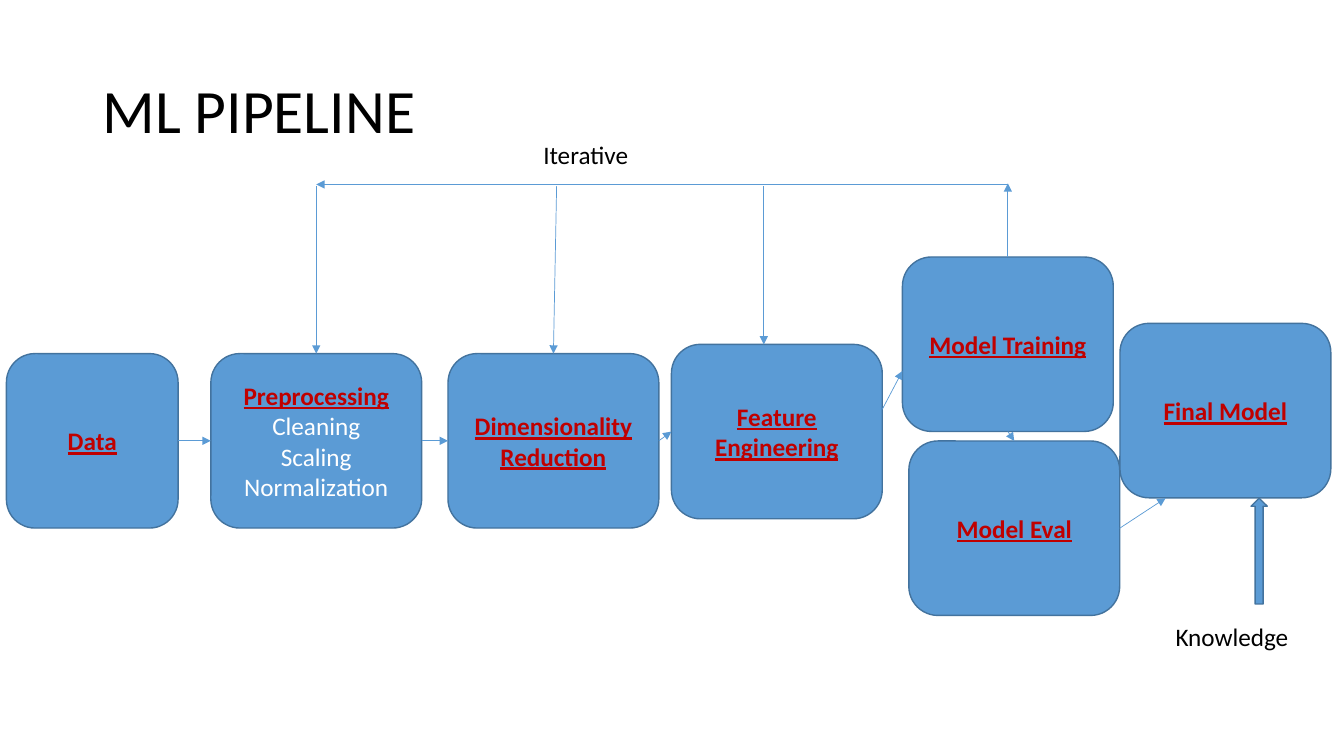
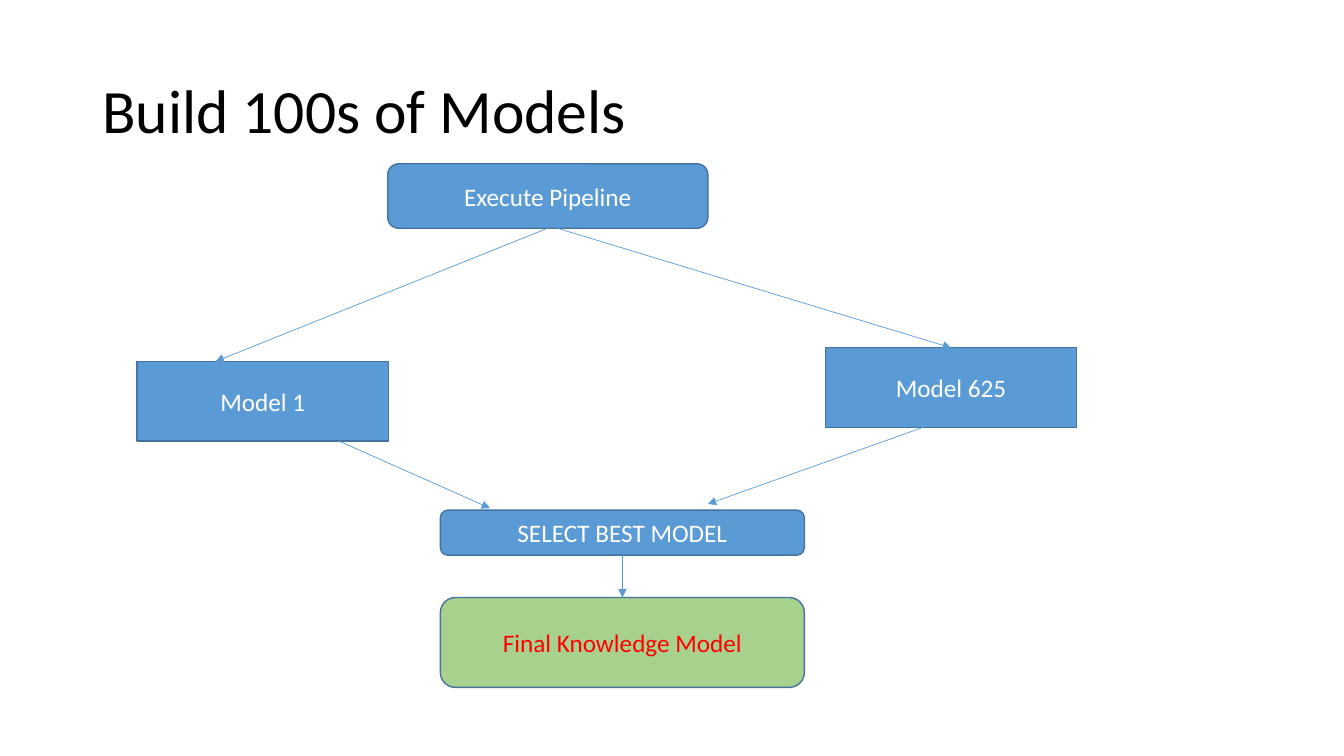
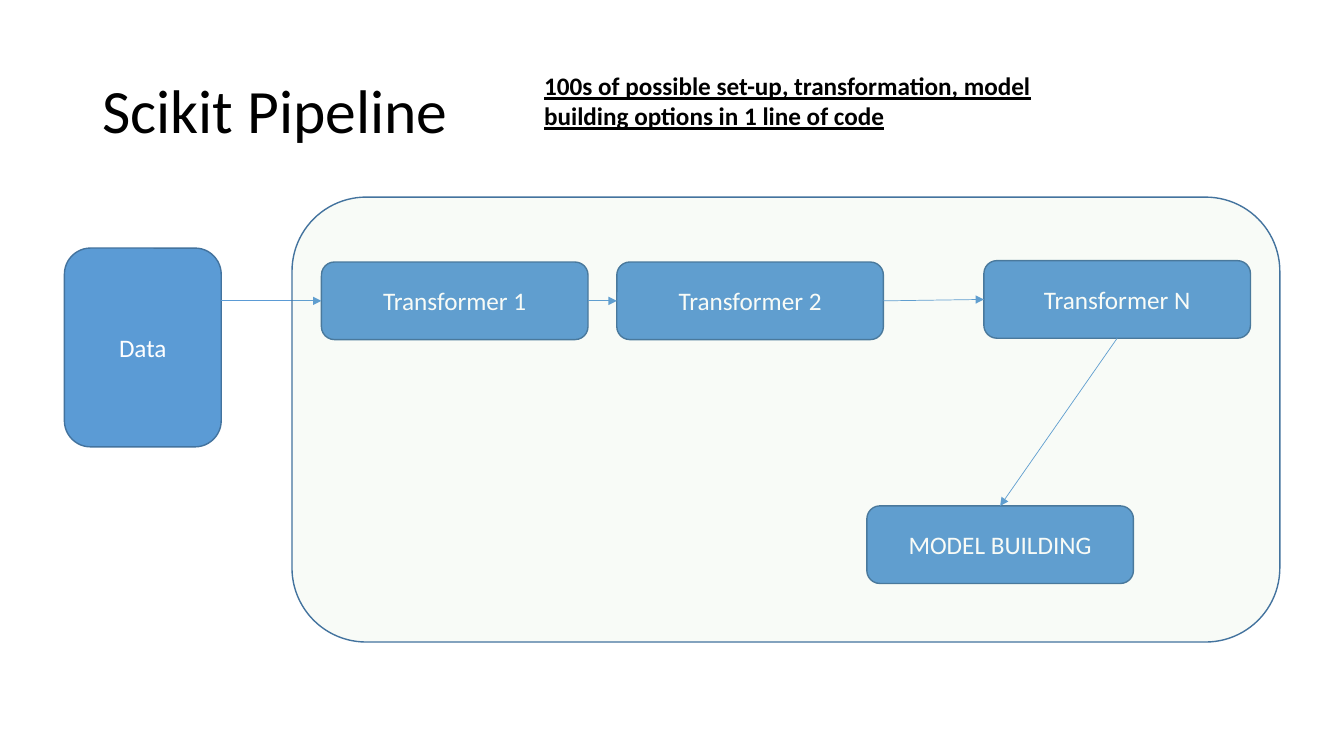
from typing import NamedTuple

from lxml import etree
from pptx import Presentation
from pptx.dml.color import RGBColor
from pptx.enum.shapes import MSO_CONNECTOR as Connector, MSO_SHAPE as Preset
from pptx.enum.text import MSO_ANCHOR as Anchor, PP_ALIGN as Align
from pptx.oxml.ns import qn
from pptx.util import Pt

# Shared style
FONT = "Calibri"
BLUE, OUTLINE, GREEN = "5B9BD5", "43739E", "A9D18E"
WHITE, BLACK, DARK_RED, RED = "FFFFFF", "000000", "C00000", "FF0000"
TITLE_SIZE, TEXT_SIZE = 44, 18
TOP, LEFT, BOTTOM, RIGHT = range(4)


class Box(NamedTuple):
    left: float
    top: float
    width: float
    height: float

    def inner(self, x, y, width, height):
        return Box(self.left + x, self.top + y, width, height)

    def point(self, x, y):
        return Point(self.left + x, self.top + y)

    def lengths(self):
        return [Pt(value) for value in self]


class Point(NamedTuple):
    x: float
    y: float


class Joint(NamedTuple):
    shape: object
    side: int


TITLE_BOX = Box(66, 28.8, 828, 104.4)


def color(hex_string):
    return RGBColor.from_string(hex_string)


def style(paragraph, size=TEXT_SIZE, ink=BLACK, emphasis=False):
    font = paragraph.font
    font.name, font.size = FONT, Pt(size)
    font.color.rgb = color(ink)
    font.bold = font.underline = emphasis


def titled_slide(presentation, text):
    slide = presentation.slides.add_slide(presentation.slide_layouts[5])
    title = slide.shapes.title
    title.left, title.top, title.width, title.height = TITLE_BOX.lengths()
    title.text_frame.text = text
    title.text_frame.vertical_anchor = Anchor.MIDDLE
    paragraph = title.text_frame.paragraphs[0]
    paragraph.alignment, paragraph.line_spacing = Align.LEFT, 0.9
    style(paragraph, TITLE_SIZE)
    return slide


def node(slide, box, lines=(), preset=Preset.ROUNDED_RECTANGLE, fill=BLUE,
         ink=WHITE, heading=False):
    """Outlined shape; its first line may be an emphasised heading."""
    shape = slide.shapes.add_shape(preset, *box.lengths())
    shape.shadow.inherit = False
    shape.fill.solid()
    shape.fill.fore_color.rgb = color(fill)
    shape.line.color.rgb = color(OUTLINE)
    shape.line.width = Pt(1)
    frame = shape.text_frame
    frame.word_wrap = True
    frame.vertical_anchor = Anchor.MIDDLE
    frame.text = "\n".join(lines)
    for index, paragraph in enumerate(frame.paragraphs):
        paragraph.alignment = Align.CENTER
        is_heading = heading and index == 0
        style(paragraph, ink=DARK_RED if is_heading else ink, emphasis=is_heading)
    return shape


def label(slide, box, text, emphasis=False):
    frame = slide.shapes.add_textbox(*box.lengths()).text_frame
    frame.word_wrap = True
    frame.text = text
    style(frame.paragraphs[0], emphasis=emphasis)


def arrow(slide, start, end):
    """Thin arrow between two ends, each a Point or a Joint."""
    connector = slide.shapes.add_connector(Connector.STRAIGHT, 0, 0, 0, 0)
    if isinstance(start, Joint):
        connector.begin_connect(*start)
    else:
        connector.begin_x, connector.begin_y = Pt(start.x), Pt(start.y)
    if isinstance(end, Joint):
        connector.end_connect(*end)
    else:
        connector.end_x, connector.end_y = Pt(end.x), Pt(end.y)
    connector.line.color.rgb = color(BLUE)
    connector.line.width = Pt(0.5)
    properties = connector._element.spPr
    etree.SubElement(properties.find(qn("a:ln")), qn("a:tailEnd"), type="triangle")
    etree.SubElement(properties, qn("a:effectLst"))


def ml_pipeline(slide, area):
    # Stages
    width, height = 150.6, 124.6

    def stage(x, y, *lines, stage_width=width):
        return node(slide, area.inner(x, y, stage_width, height), lines, heading=True)

    data = stage(0, 157.6, "Data", stage_width=122.6)
    preprocessing = stage(146, 157.6, "Preprocessing", "Cleaning", "Scaling",
                          "Normalization")
    reduction = stage(315.4, 157.6, "Dimensionality Reduction")
    engineering = stage(475, 151, "Feature Engineering")
    training = stage(640, 88.6, "Model Training")
    evaluation = stage(644.6, 220, "Model Eval")
    stage(795.4, 136, "Final Model")

    # Feedback loop
    loop_y = 36.8
    loop_start, loop_end = 640 + width / 2, 146 + width / 2
    arrow(slide, Joint(training, TOP), area.point(loop_start, loop_y - 0.8))
    arrow(slide, area.point(loop_start, loop_y), area.point(loop_end, loop_y))
    for x, target in ((loop_end, Joint(preprocessing, TOP)),
                      (393, Joint(reduction, TOP)),
                      (541, area.point(541, 151))):
        arrow(slide, area.point(x, loop_y + 1.2), target)
    label(slide, area.inner(376.4, 1, 197, 29), "Iterative")

    # Knowledge input
    label(slide, area.inner(828, 345, 120, 29), "Knowledge")
    node(slide, area.inner(889, 260.8, 11.6, 75.6), preset=Preset.UP_ARROW)

    # Forward flow
    for source, target in ((data, preprocessing), (preprocessing, reduction),
                           (reduction, engineering)):
        arrow(slide, Joint(source, RIGHT), Joint(target, LEFT))
    arrow(slide, area.point(475 + width, 197.4), area.point(640, 170))
    arrow(slide, Joint(training, BOTTOM), Joint(evaluation, TOP))
    arrow(slide, Joint(evaluation, RIGHT), area.point(828, 260.8))


def model_search(slide, area):
    # Steps
    execute = node(slide, area.inner(179, 0, 228.6, 46), ["Execute Pipeline"])
    node(slide, area.inner(0, 141.2, 179.4, 56.8), ["Model 1"], Preset.RECTANGLE)
    last_model = node(slide, area.inner(491.6, 131.4, 179.4, 56.8), ["Model 625"],
                      Preset.RECTANGLE)
    final = node(slide, area.inner(216.6, 309.8, 260, 64.2),
                 ["Final Knowledge Model"], fill=GREEN, ink=RED)
    select = node(slide, area.inner(216.6, 247.4, 260, 32.2), ["SELECT BEST MODEL"])

    # Flow
    for start, end in (
        (Joint(execute, BOTTOM), area.point(56, 141.2)),
        (area.point(300, 46), Joint(last_model, TOP)),
        (area.point(144, 198), area.point(252, 246)),
        (area.point(561.6, 188.2), area.point(407.6, 243)),
        (Joint(select, BOTTOM), Joint(final, TOP)),
    ):
        arrow(slide, start, end)


def scikit_pipeline(slide, area):
    # Steps
    def step(x, y, text):
        return node(slide, area.inner(x, y, 190.4, 55.4), [text])

    data_width = 112
    data_left = -162.6
    node(slide, area.inner(data_left, 36.4, data_width, 142), ["Data"])
    first = step(21, 46.4, "Transformer 1")
    second = step(232, 46.4, "Transformer 2")
    last = step(494.2, 45.4, "Transformer N")
    building = step(410.6, 220.6, "MODEL BUILDING")

    # Flow
    arrow(slide, area.point(data_left + data_width, 74.1), Joint(first, LEFT))
    arrow(slide, Joint(first, RIGHT), Joint(second, LEFT))
    arrow(slide, Joint(second, RIGHT), Joint(last, LEFT))
    arrow(slide, Joint(last, BOTTOM), Joint(building, TOP))

    # Translucent frame over the steps
    frame = node(slide, area, fill=GREEN)
    fill_color = frame._element.spPr.find(qn("a:solidFill"))[0]
    etree.SubElement(fill_color, qn("a:alpha"), val="7000")

    # Remark beside the title
    label(slide, area.inner(173, -94, 412, 51),
          "100s of possible set-up, transformation, model building options "
          "in 1 line of code", emphasis=True)


def main():
    presentation = Presentation()
    presentation.slide_width, presentation.slide_height = Pt(960), Pt(540)
    for title, draw, area in (
        ("ML PIPELINE", ml_pipeline, Box(4.6, 95, 948, 370)),
        ("Build 100s of Models", model_search, Box(98, 117, 671, 374)),
        ("Scikit Pipeline", scikit_pipeline, Box(208.6, 140.8, 705.6, 317.8)),
    ):
        draw(titled_slide(presentation, title), area)
    presentation.save("out.pptx")


if __name__ == "__main__":
    main()
